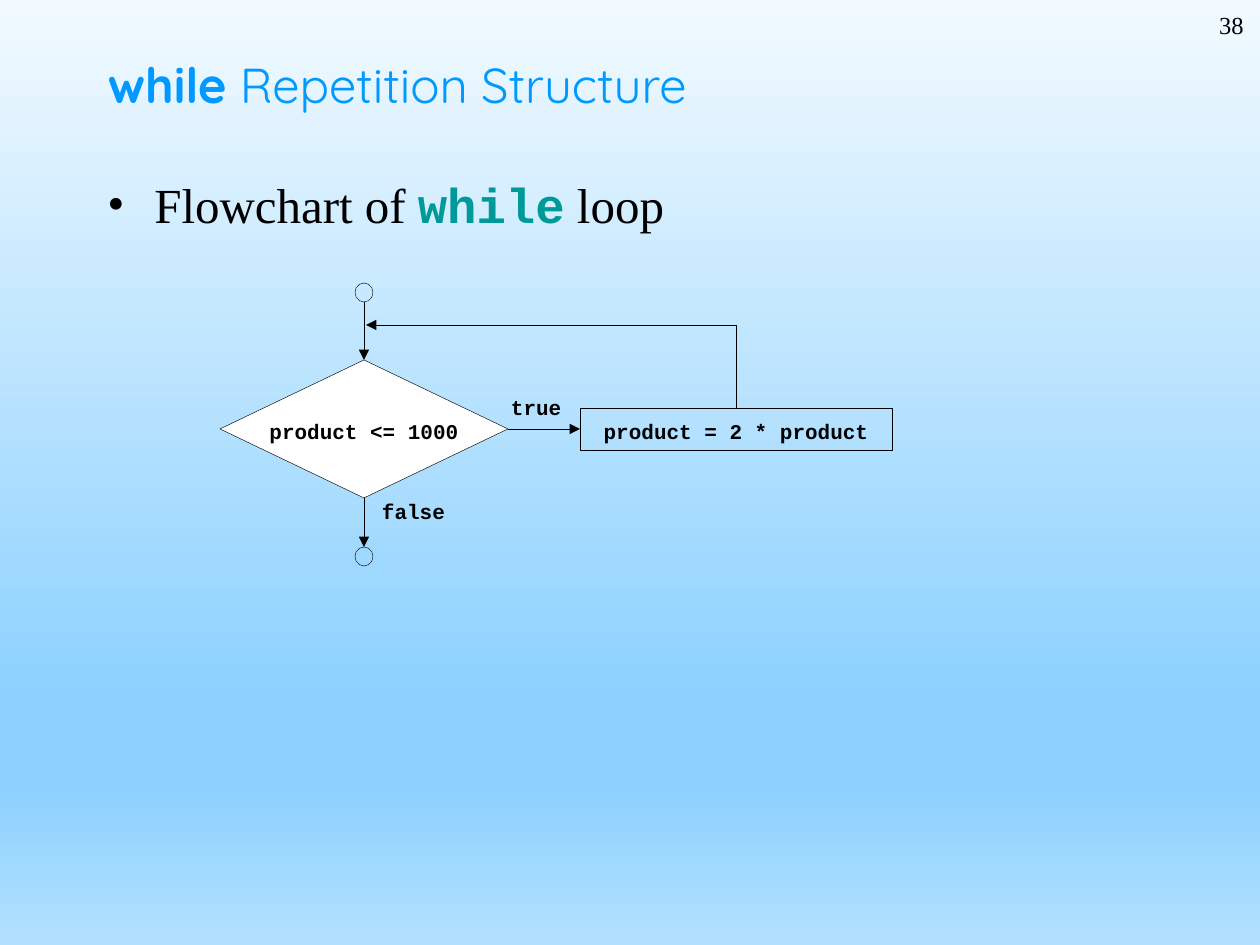
from lxml.etree import SubElement
from pptx import Presentation
from pptx.dml.color import RGBColor
from pptx.enum.shapes import MSO_CONNECTOR, MSO_SHAPE
from pptx.enum.text import MSO_ANCHOR, PP_ALIGN
from pptx.oxml.ns import qn
from pptx.util import Emu, Pt

PX_PER_INCH = 126
BLACK = RGBColor(0x00, 0x00, 0x00)
WHITE = RGBColor(0xFF, 0xFF, 0xFF)
TITLE_BLUE = RGBColor(0x00, 0x99, 0xFF)
CODE_TEAL = RGBColor(0x00, 0x99, 0x99)
SKY_STOPS = [
    (0, RGBColor(0xF2, 0xFA, 0xFF)),
    (74, RGBColor(0x8C, 0xD1, 0xFF)),
    (83, RGBColor(0x8C, 0xD1, 0xFF)),
    (100, RGBColor(0xB3, 0xE0, 0xFF)),
]
SERIF = "Times New Roman"
MONO = "Courier New"
HEADING = "Quicksand"


def px(length):
    return Emu(round(length * 914400 / PX_PER_INCH))


def style(font, name, size, color, bold=False):
    font.name = name
    font.size = Pt(size)
    font.color.rgb = color
    font.bold = bold


def paint_background(slide):
    fill = slide.background.fill
    fill.gradient()
    fill.gradient_angle = 270
    stops = slide.element.find(".//" + qn("a:gsLst"))
    for stop in list(stops):
        stops.remove(stop)
    for position, color in SKY_STOPS:
        stop = SubElement(stops, qn("a:gs"), pos=str(position * 1000))
        SubElement(stop, qn("a:srgbClr"), val=str(color))


def add_text_box(slide, left, top, width, height):
    frame = slide.shapes.add_textbox(px(left), px(top), px(width), px(height)).text_frame
    frame.word_wrap = True
    return frame


def add_page_number(slide, left, top, width, height):
    number = add_text_box(slide, left, top, width, height).paragraphs[0]
    number.text = "38"
    number.alignment = PP_ALIGN.RIGHT
    number.space_before = Pt(1)
    style(number.font, SERIF, 14, BLACK)


def fill_title(slide, left, top, width, height):
    title = slide.shapes.title
    title.left, title.top, title.width, title.height = map(px, (left, top, width, height))
    title.text_frame.vertical_anchor = MSO_ANCHOR.MIDDLE
    heading = title.text_frame.paragraphs[0]
    heading.alignment = PP_ALIGN.LEFT
    style(heading.font, HEADING, 28, TITLE_BLUE)
    for words, bold in (("while", True), (" Repetition Structure", False)):
        run = heading.add_run()
        run.text = words
        run.font.bold = bold


def add_bullet(slide, left, top, width, height):
    bullet = add_text_box(slide, left, top, width, height).paragraphs[0]
    bullet.space_before = Pt(3.6)
    properties = bullet._p.get_or_add_pPr()
    properties.set("marL", str(px(47)))
    properties.set("indent", str(-px(47)))
    SubElement(properties, qn("a:buFont"), typeface=SERIF)
    SubElement(properties, qn("a:buChar"), char="•")
    for words, name, color, bold in (
        ("Flowchart of ", SERIF, BLACK, False),
        ("while", MONO, CODE_TEAL, True),
        (" loop", SERIF, BLACK, False),
    ):
        run = bullet.add_run()
        run.text = words
        style(run.font, name, 28, color, bold)


def write_code(frame, words, alignment=PP_ALIGN.LEFT):
    frame.margin_left = frame.margin_right = frame.margin_top = frame.margin_bottom = 0
    frame.word_wrap = False
    code = frame.paragraphs[0]
    code.text = words
    code.alignment = alignment
    style(code.font, MONO, 12, BLACK, True)


def add_node(slide, preset, left, top, width, height, words="", fill=None):
    node = slide.shapes.add_shape(preset, px(left), px(top), px(width), px(height))
    node.shadow.inherit = False
    node.line.color.rgb = BLACK
    node.line.width = Pt(0.25)
    if fill is None:
        node.fill.background()
    else:
        node.fill.solid()
        node.fill.fore_color.rgb = fill
    if words:
        write_code(node.text_frame, words, PP_ALIGN.CENTER)
        node.text_frame.vertical_anchor = MSO_ANCHOR.MIDDLE
        node.text_frame.margin_top = px(5)
    return node


def add_flow(slide, start, end, arrow=True):
    flow = slide.shapes.add_connector(MSO_CONNECTOR.STRAIGHT, *map(px, start + end))
    flow.line.color.rgb = BLACK
    flow.line.width = Pt(0.25)
    if arrow:
        SubElement(flow.line._get_or_add_ln(), qn("a:tailEnd"), type="triangle")
    SubElement(flow._element.spPr, qn("a:effectLst"))
    return flow


def add_flowchart(slide, left, top, width, height):
    dot_width, dot_height = 18, 19
    decision_width, decision_height = 288, 138
    process_width, process_height = 312, 42
    axis = left + decision_width // 2
    decision_top = top + 77
    decision_bottom = decision_top + decision_height
    middle = decision_top + decision_height // 2
    process_left = left + width - process_width
    process_axis = process_left + process_width // 2
    process_top = middle - process_height // 2
    loop_top = top + 42
    exit_top = top + height - dot_height

    for dot_top in (top, exit_top):
        add_node(slide, MSO_SHAPE.OVAL, axis - dot_width // 2, dot_top, dot_width, dot_height)
    decision = add_node(slide, MSO_SHAPE.DIAMOND, left, decision_top,
                        decision_width, decision_height, "product <= 1000", WHITE)
    process = add_node(slide, MSO_SHAPE.RECTANGLE, process_left, process_top,
                       process_width, process_height, "product = 2 * product")

    entry = add_flow(slide, (axis, top + dot_height), (axis, decision_top))
    entry.end_connect(decision, 0)
    leave = add_flow(slide, (axis, decision_bottom), (axis, exit_top))
    leave.begin_connect(decision, 2)
    repeat = add_flow(slide, (left + decision_width, middle), (process_left, middle))
    repeat.begin_connect(decision, 3)
    repeat.end_connect(process, 1)
    rise = add_flow(slide, (process_axis, process_top), (process_axis, loop_top), arrow=False)
    rise.begin_connect(process, 0)
    add_flow(slide, (process_axis, loop_top), (axis + 2, loop_top))

    for words, label_left, label_top, label_width in (
        ("true", left + decision_width + 3, middle - 34, 64),
        ("false", axis + 18, decision_bottom + 1, 78),
    ):
        write_code(add_text_box(slide, label_left, label_top, label_width, 38), words)


def main():
    deck = Presentation()
    deck.slide_width, deck.slide_height = px(1260), px(945)
    slide = deck.slides.add_slide(deck.slide_layouts[5])
    paint_background(slide)
    add_page_number(slide, 994, 4, 262, 63)
    fill_title(slide, 95, 10, 1071, 147)
    add_bullet(slide, 95, 168, 1071, 724)
    add_flowchart(slide, 220, 283, 672, 283)
    deck.save("out.pptx")


if __name__ == "__main__":
    main()
